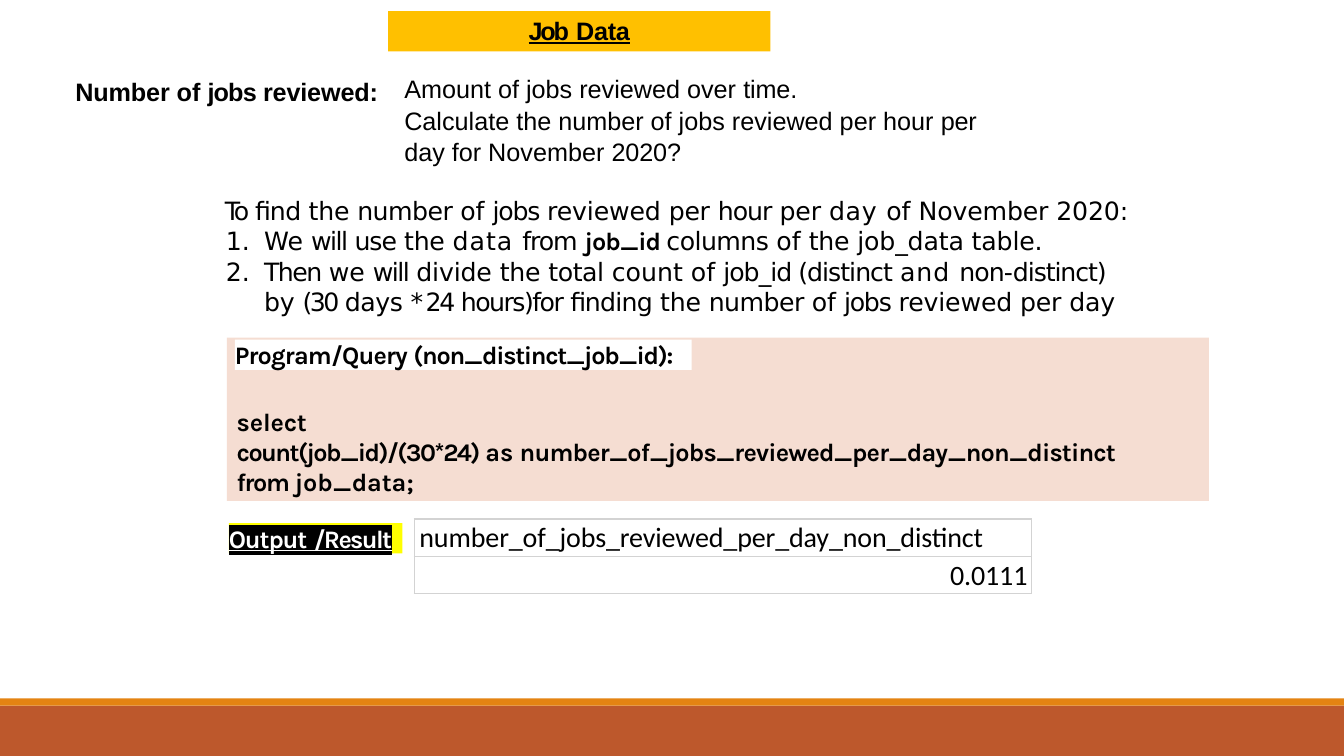
from dataclasses import dataclass

from lxml import etree
from pptx import Presentation
from pptx.dml.color import RGBColor
from pptx.enum.shapes import MSO_SHAPE
from pptx.enum.text import MSO_ANCHOR, PP_ALIGN
from pptx.oxml.ns import qn
from pptx.util import Inches, Pt

RECTANGLE = MSO_SHAPE.RECTANGLE
TOP = MSO_ANCHOR.TOP
LEFT, CENTER, RIGHT = PP_ALIGN.LEFT, PP_ALIGN.CENTER, PP_ALIGN.RIGHT


@dataclass(frozen=True)
class Theme:
    black: str = "000000"
    white: str = "FFFFFF"
    title_fill: str = "FFC000"
    query_fill: str = "F5DDD2"
    result_fill: str = "FFFF00"
    grid: str = "D3D3D3"
    footer: str = "BD582C"
    footer_edge: str = "E48312"
    heading_font: str = "Arial"
    steps_font: str = "DejaVu Sans"
    query_font: str = "Karla"
    table_font: str = "Calibri"
    body_size: float = 18
    table_size: float = 20
    grid_width: float = 1.11


THEME = Theme()
HEADING = {"name": THEME.heading_font, "size": Pt(THEME.body_size)}
HEADING_BOLD = {**HEADING, "bold": True}
STEPS = {"name": THEME.steps_font, "size": Pt(THEME.body_size)}
QUERY = {"name": THEME.query_font, "size": Pt(THEME.body_size), "bold": True}
TABLE = {"name": THEME.table_font, "size": Pt(THEME.table_size)}

# Each run is its text, its letter spacing in points and, if needed, its own format.
TITLE = [("Job", -1.6), (" ", 0.1), ("Data", -0.2)]
METRIC = [("Number ", -0.1), ("of ", 0), ("jobs ", -0.6), ("reviewed:", -0.1)]
QUESTION = [
    [("Amount of jobs reviewed over ", 0), ("time.", -0.1)],
    [("Calculate the number of jobs reviewed per hour ", 0), ("per ", -0.2),
     ("day for November ", 0), ("2020?", -0.1)],
]
APPROACH = [
    ("To ", -1.5), ("find ", -0.4), ("the ", -0.2), ("number ", -0.4), ("of ", 0),
    ("jobs ", -0.9), ("reviewed ", -0.1), ("per ", -0.2), ("hour ", -0.7),
    ("per ", -0.1), ("day ", 0.5), ("of ", 0), ("November 2020:", -0.1)]
STEP_LIST = [
    [("We ", 0), ("will ", -1.1), ("use ", -0.7), ("the ", -0.2), ("data ", 0.7),
     ("from ", -0.8), ("job_id ", -0.7, QUERY), ("columns ", -0.4), ("of ", 0),
     ("the ", -0.2), ("job_data table.", -0.1)],
    [("Then ", -1.1), ("we ", 0), ("will ", -1.1), ("divide ", -0.1), ("the ", -0.2),
     ("total ", -0.3), ("count of ", 0), ("job_id (distinct ", -0.7), ("and ", 0.7),
     ("non-", -0.7), ("distinct) ", -0.8), ("by ", -0.2), ("(30 ", -1.8),
     ("days ", -0.3), ("* ", -4), ("24 ", -1.7), ("hours)for ", -1.1),
     ("finding ", -0.5), ("the ", -0.2), ("number ", -0.4), ("of ", 0),
     ("jobs ", -0.9), ("reviewed per ", -0.1), ("day", -0.2)],
]
QUERY_LABEL = [("Program/Query ", -0.6), ("(non_distinct_job_id):", -0.9)]
QUERY_LINES = [
    [("select", -0.1)],
    [("count(job_id)/(30*24) ", -1.1), ("as ", 0),
     ("number_of_jobs_reviewed_per_day_non_distinct", -0.6)],
    [("from ", -1), ("job_data;", -0.1)],
]
RESULT_LABEL = [("Output", -0.8), (" ", -0.5), ("/Result", -1.2)]
RESULT_ROWS = [("number_of_jobs_reviewed_per_day_non_distinct", LEFT), ("0.0111", RIGHT)]


def set_margins(target, left=0, top=0, right=0):
    margins = {"margin_left": left, "margin_top": top,
               "margin_right": right, "margin_bottom": 0}
    for side, inches in margins.items():
        setattr(target, side, Inches(inches))


def add_panel(slide, box, fill=None, **margins):
    """Add a rectangle, or a plain text box if no fill is given; return its frame."""
    bounds = [Inches(value) for value in box]
    if fill:
        panel = slide.shapes.add_shape(RECTANGLE, *bounds)
        panel.shadow.inherit = False
        panel.fill.solid()
        panel.fill.fore_color.rgb = RGBColor.from_string(fill)
        panel.line.fill.background()
    else:
        panel = slide.shapes.add_textbox(*bounds)
    frame = panel.text_frame
    frame.word_wrap = True
    frame.vertical_anchor = TOP
    set_margins(frame, **margins)
    return frame


def write_paragraph(paragraph, runs, style, color=THEME.black, **layout):
    for name, value in {"alignment": LEFT, **layout}.items():
        setattr(paragraph, name, value)
    for text, spacing, *override in runs:
        run = paragraph.add_run()
        run.text = text
        for name, value in (override[0] if override else style).items():
            setattr(run.font, name, value)
        run.font.color.rgb = RGBColor.from_string(color)
        run.font._element.set("spc", str(round(spacing * 100)))


def number_paragraph(paragraph, indent, hanging):
    properties = paragraph._p.get_or_add_pPr()
    properties.set("marL", str(Inches(indent)))
    properties.set("indent", str(-Inches(hanging)))
    etree.SubElement(properties, qn("a:buAutoNum"), type="arabicPeriod")


def highlight_runs(paragraph, color):
    for run in paragraph.runs:
        fill = run.font._element.find(qn("a:solidFill"))
        highlight = etree.Element(qn("a:highlight"))
        etree.SubElement(highlight, qn("a:srgbClr"), val=color)
        fill.addnext(highlight)


def border_cell(cell):
    properties = cell._tc.get_or_add_tcPr()
    for index, edge in enumerate(("a:lnL", "a:lnR", "a:lnT", "a:lnB")):
        line = etree.Element(qn(edge), w=str(Pt(THEME.grid_width)))
        fill = etree.SubElement(line, qn("a:solidFill"))
        etree.SubElement(fill, qn("a:srgbClr"), val=THEME.grid)
        properties.insert(index, line)


def add_footer(slide, left, top, width, height):
    edge = 0.07
    add_panel(slide, (left, top + edge, width, height - edge), THEME.footer)
    add_panel(slide, (left, top, width, edge), THEME.footer_edge)


def add_header(slide, left, top, width, height):
    title = add_panel(slide, (left + 3.2, top, 3.79, 0.4), THEME.title_fill, top=0.04)
    write_paragraph(title.paragraphs[0], TITLE, {**HEADING_BOLD, "underline": True},
                    alignment=CENTER)
    metric = add_panel(slide, (left, top + 0.59, 3.2, 0.4), THEME.white,
                       left=0.1, top=0.06)
    write_paragraph(metric.paragraphs[0], METRIC, HEADING_BOLD)
    question = add_panel(slide, (left + 3.35, top + 0.6, width - 3.35, height - 0.6),
                         left=0.01, top=0.02)
    write_paragraph(question.paragraphs[0], QUESTION[0], HEADING)
    write_paragraph(question.add_paragraph(), QUESTION[1], HEADING,
                    line_spacing=Pt(22.1), space_before=Pt(0.3))


def add_steps(slide, *box):
    steps = add_panel(slide, box, left=0.01, top=0.02, right=0.1)
    write_paragraph(steps.paragraphs[0], APPROACH, STEPS)
    for step in STEP_LIST:
        paragraph = steps.add_paragraph()
        write_paragraph(paragraph, step, STEPS)
        number_paragraph(paragraph, indent=0.39, hanging=0.38)


def add_query(slide, left, top, width, height):
    query = add_panel(slide, (left, top, width, height), THEME.query_fill,
                      left=0.1, top=0.68)
    for index, line in enumerate(QUERY_LINES):
        paragraph = query.add_paragraph() if index else query.paragraphs[0]
        write_paragraph(paragraph, line, QUERY)
    label = add_panel(slide, (left + 0.08, top + 0.02, 4.53, 0.3), THEME.white)
    write_paragraph(label.paragraphs[0], QUERY_LABEL, QUERY, line_spacing=Pt(21.6))


def add_result(slide, left, top, width, height):
    label = add_panel(slide, (left, top + 0.04, 1.72, 0.3), THEME.result_fill)
    write_paragraph(label.paragraphs[0], RESULT_LABEL, {**QUERY, "underline": True},
                    THEME.white)
    highlight_runs(label.paragraphs[0], THEME.black)

    offset = 1.84
    bounds = [Inches(value) for value in (left + offset, top, width - offset, height)]
    table = slide.shapes.add_table(len(RESULT_ROWS), 1, *bounds).table
    table.first_row = table.horz_banding = False
    for index, (value, alignment) in enumerate(RESULT_ROWS):
        cell = table.cell(index, 0)
        cell.fill.background()
        set_margins(cell, left=0.05, top=0.02, right=0.04)
        write_paragraph(cell.text_frame.paragraphs[0], [(value, -0.1)], TABLE,
                        alignment=alignment)
        border_cell(cell)


def main():
    presentation = Presentation()
    presentation.slide_width, presentation.slide_height = Inches(13.33), Inches(7.5)
    slide = presentation.slides.add_slide(presentation.slide_layouts[6])
    add_footer(slide, 0, 6.93, 13.33, 0.57)
    add_header(slide, 0.65, 0.11, 9.15, 1.53)
    add_steps(slide, 2.22, 1.92, 9.17, 1.23)
    add_query(slide, 2.25, 3.35, 9.74, 1.62)
    add_result(slide, 2.27, 5.15, 7.96, 0.74)
    presentation.save("out.pptx")


if __name__ == "__main__":
    main()
